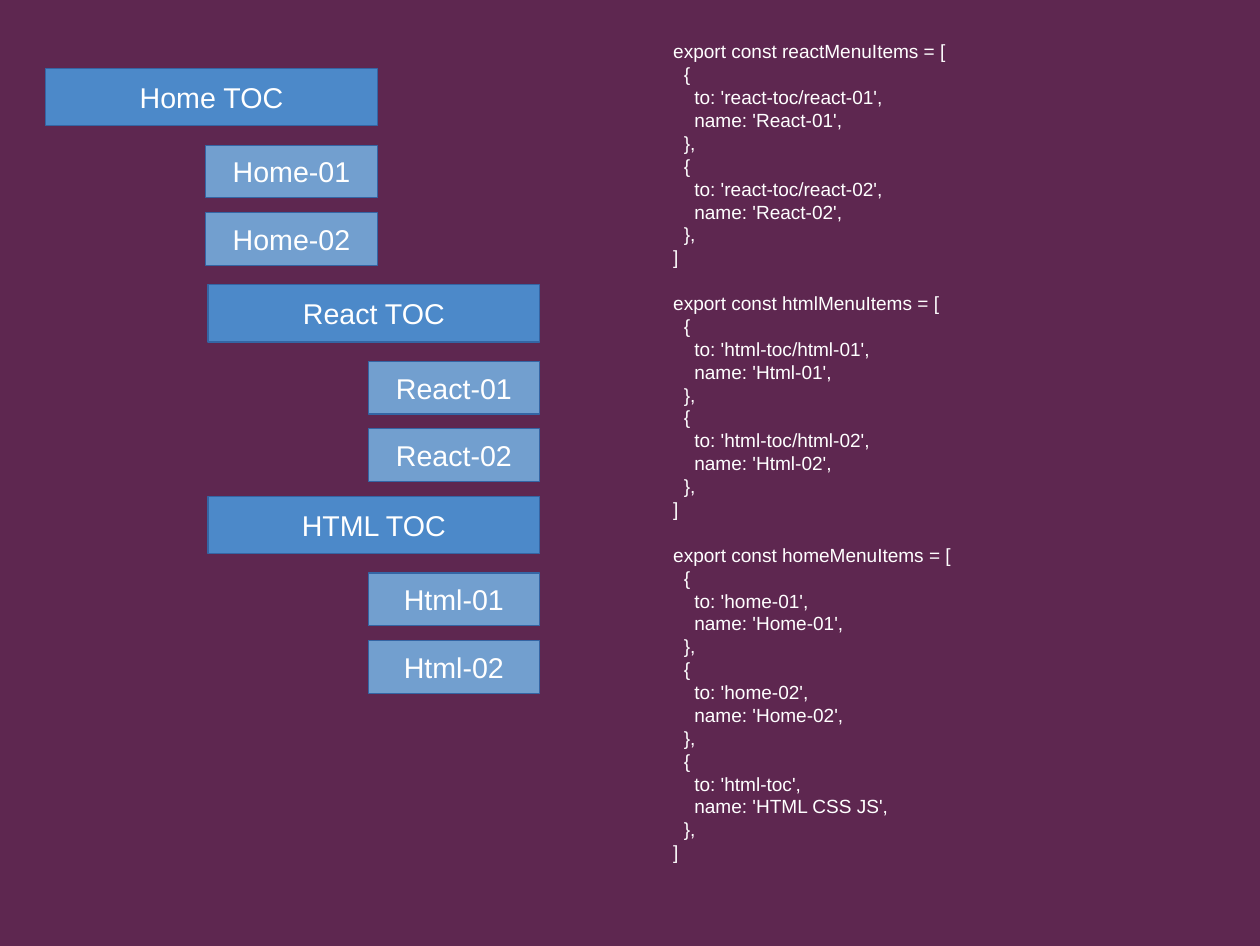
from pptx import Presentation
from pptx.dml.color import RGBColor
from pptx.enum.shapes import MSO_SHAPE
from pptx.enum.text import MSO_ANCHOR, PP_ALIGN
from pptx.util import Inches, Pt

RECTANGLE = MSO_SHAPE.RECTANGLE
MIDDLE = MSO_ANCHOR.MIDDLE
CENTER = PP_ALIGN.CENTER

FONT = "Arial"
BACKGROUND = "5E2750"
TOC_FILL = "4C89C9"
PAGE_FILL = "729FCF"
OUTLINE = "3465A4"
WHITE = "FFFFFF"

TOC_SIZE = (2.9, 0.5)
PAGE_SIZE = (1.5, 0.46)
FIRST_PAGE_DROP = 0.67
PAGE_PITCH = 0.59
CODE_LINE = Pt(14.4)

TOC_GROUPS = [
    (0.4, 0.6, "Home TOC", ["Home-01", "Home-02"]),
    (1.82, 2.49, "React TOC", ["React-01", "React-02"]),
    (1.82, 4.34, "HTML TOC", ["Html-01", "Html-02"]),
]

MENUS = [
    ("reactMenuItems", [("react-toc/react-01", "React-01"),
                        ("react-toc/react-02", "React-02")]),
    ("htmlMenuItems", [("html-toc/html-01", "Html-01"),
                       ("html-toc/html-02", "Html-02")]),
    ("homeMenuItems", [("home-01", "Home-01"),
                       ("home-02", "Home-02"),
                       ("html-toc", "HTML CSS JS")]),
]


def color(hex_code):
    """Turn a hex string into a colour."""
    return RGBColor.from_string(hex_code)


def style_font(paragraph, size):
    """Give every run of a paragraph the slide's white font."""
    for span in paragraph.runs:
        span.font.name = FONT
        span.font.size = Pt(size)
        span.font.color.rgb = color(WHITE)


def add_label_box(page, left, top, size, text, fill):
    """Add a filled rectangle with a centred label."""
    width, height = size
    box = page.shapes.add_shape(RECTANGLE, Inches(left), Inches(top),
                                Inches(width), Inches(height))
    box.shadow.inherit = False
    box.fill.solid()
    box.fill.fore_color.rgb = color(fill)
    box.line.color.rgb = color(OUTLINE)
    box.line.width = Pt(0)
    frame = box.text_frame
    frame.word_wrap = False
    frame.vertical_anchor = MIDDLE
    frame.text = text
    para = frame.paragraphs[0]
    para.alignment = CENTER
    style_font(para, 18)


def add_toc_group(page, left, top, title, entries):
    """Add a contents box with its entries below, aligned to its right edge."""
    add_label_box(page, left, top, TOC_SIZE, title, TOC_FILL)
    entry_left = left + TOC_SIZE[0] - PAGE_SIZE[0]
    for index, entry in enumerate(entries):
        entry_top = top + FIRST_PAGE_DROP + index * PAGE_PITCH
        add_label_box(page, entry_left, entry_top, PAGE_SIZE, entry, PAGE_FILL)


def menu_lines(menu, items):
    """Return the code lines that declare one menu."""
    lines = [f"export const {menu} = ["]
    for target, name in items:
        lines += ["  {", f"    to: '{target}',", f"    name: '{name}',", "  },"]
    return lines + ["]"]


def add_code(page, left, top, width, height):
    """Add the menu declarations, one line's gap apart."""
    box = page.shapes.add_textbox(Inches(left), Inches(top),
                                  Inches(width), Inches(height))
    frame = box.text_frame
    frame.word_wrap = True
    blocks = [menu_lines(menu, items) for menu, items in MENUS]
    frame.text = "\n".join(line for block in blocks for line in block)
    for para in frame.paragraphs:
        para.line_spacing = CODE_LINE
        style_font(para, 12)
    start = 0
    for block in blocks[:-1]:
        start += len(block)
        frame.paragraphs[start].space_before = CODE_LINE


def main():
    """Build and save the slide."""
    deck = Presentation()
    deck.slide_width = Inches(11.02)
    deck.slide_height = Inches(8.27)
    page = deck.slides.add_slide(deck.slide_layouts[6])
    page.background.fill.solid()
    page.background.fill.fore_color.rgb = color(BACKGROUND)
    for group in TOC_GROUPS:
        add_toc_group(page, *group)
    add_code(page, 5.79, 0.3, 4.3, 7.56)
    deck.save("out.pptx")


if __name__ == "__main__":
    main()
